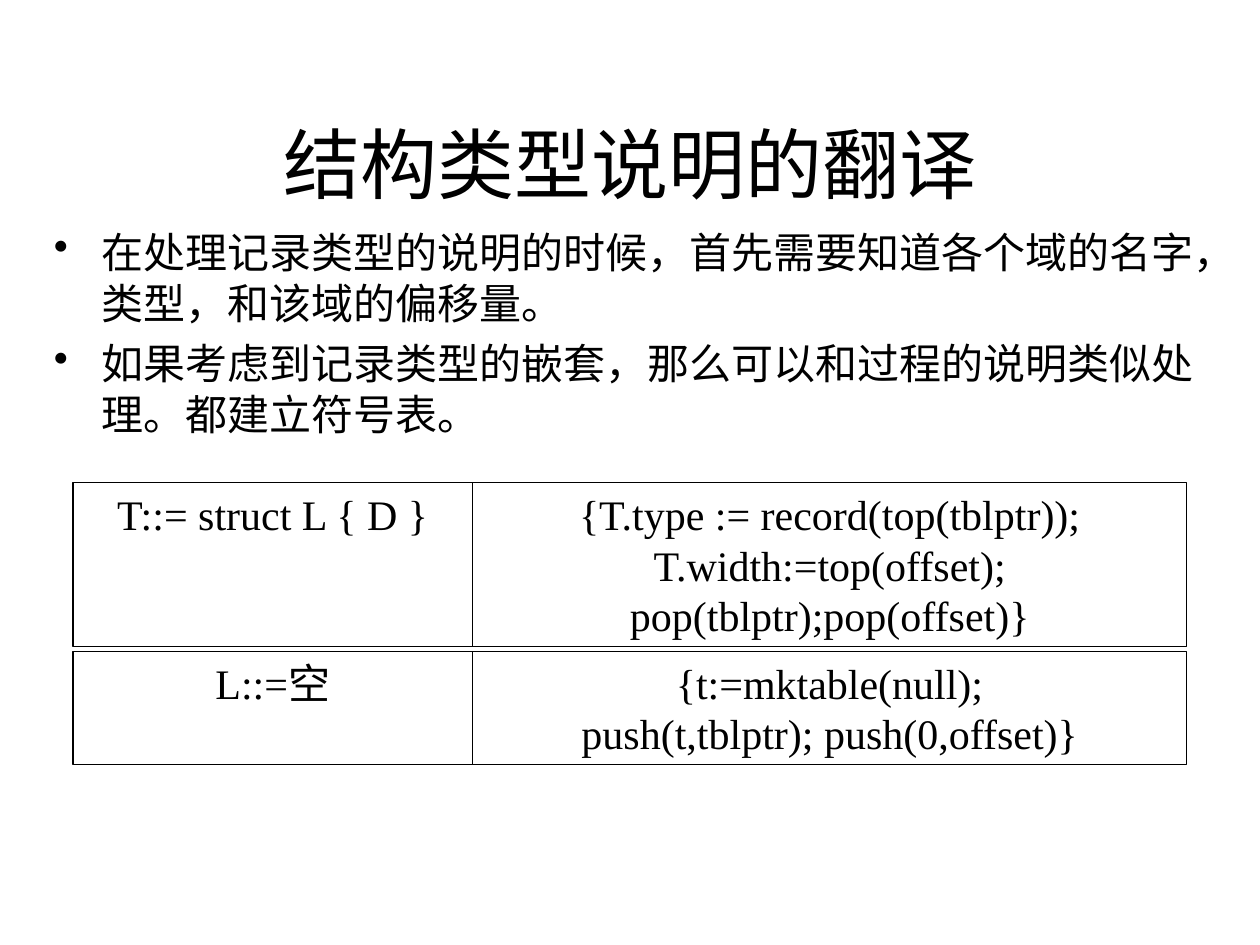
from dataclasses import dataclass

from lxml.etree import SubElement
from pptx import Presentation
from pptx.dml.color import RGBColor
from pptx.enum.shapes import MSO_SHAPE
from pptx.enum.text import MSO_ANCHOR, MSO_AUTO_SIZE, PP_ALIGN
from pptx.oxml.ns import qn
from pptx.util import Inches, Pt


@dataclass(frozen=True)
class Theme:
    font: str = "Times New Roman"
    ink: RGBColor = RGBColor(0, 0, 0)
    title_size: int = 44
    body_size: int = 24
    line_width: float = 0.75


THEME = Theme()

TITLE = "结构类型说明的翻译"
POINTS = [
    "在处理记录类型的说明的时候，首先需要知道各个域的名字，类型，和该域的偏移量。",
    "如果考虑到记录类型的嵌套，那么可以和过程的说明类似处理。都建立符号表。",
]
COLUMN_WIDTHS = [3.17, 5.67]
RULES_LEFT, RULES_TOP, ROW_GAP = 0.58, 3.83, 0.04
RULES = [
    (1.3, ["T::= struct L { D }"],
     ["{T.type := record(top(tblptr));", "T.width:=top(offset);", "pop(tblptr);pop(offset)}"]),
    (0.9, ["L::=空"],
     ["{t:=mktable(null);", "push(t,tblptr); push(0,offset)}"]),
]


def set_bullet(p):
    pPr = p._p.get_or_add_pPr()
    pPr.set("marL", str(Inches(0.38)))
    pPr.set("indent", str(-Inches(0.38)))
    SubElement(pPr, qn("a:buChar"), char="•")


def fill_text(tf, lines, size, align, anchor=MSO_ANCHOR.TOP, bullets=False):
    tf.word_wrap = True
    tf.auto_size = MSO_AUTO_SIZE.NONE
    tf.vertical_anchor = anchor
    tf.margin_left = tf.margin_right = Inches(0.1)
    tf.margin_top = tf.margin_bottom = Inches(0.05)
    for i, line in enumerate(lines):
        p = tf.add_paragraph() if i else tf.paragraphs[0]
        if bullets:
            set_bullet(p)
        p.alignment = align
        p.space_before = Pt(6 if bullets and i else 0)
        r = p.add_run()
        r.text = line
        r.font.name = THEME.font
        r.font.size = Pt(size)
        r.font.color.rgb = THEME.ink


def add_title(s):
    sp = s.shapes.title
    sp.left, sp.top = Inches(0.75), Inches(0.67)
    sp.width, sp.height = Inches(8.5), Inches(1.25)
    fill_text(sp.text_frame, [TITLE], THEME.title_size, PP_ALIGN.CENTER, MSO_ANCHOR.MIDDLE)


def add_points(s):
    sp = s.shapes.add_textbox(Inches(0.33), Inches(1.75), Inches(9.42), Inches(1.83))
    fill_text(sp.text_frame, POINTS, THEME.body_size, PP_ALIGN.LEFT, bullets=True)


def add_cell(s, left, top, width, height, lines):
    sp = s.shapes.add_shape(MSO_SHAPE.RECTANGLE, Inches(left), Inches(top),
                            Inches(width), Inches(height))
    sp.shadow.inherit = False
    sp.fill.background()
    sp.line.color.rgb = THEME.ink
    sp.line.width = Pt(THEME.line_width)
    fill_text(sp.text_frame, lines, THEME.body_size, PP_ALIGN.CENTER)


def add_rules(s):
    top = RULES_TOP
    for height, *cells in RULES:
        left = RULES_LEFT
        for width, lines in zip(COLUMN_WIDTHS, cells):
            add_cell(s, left, top, width, height, lines)
            left += width
        top += height + ROW_GAP


def main():
    prs = Presentation()
    prs.slide_width, prs.slide_height = Inches(10), Inches(7.5)
    s = prs.slides.add_slide(prs.slide_layouts[5])
    add_title(s)
    add_points(s)
    add_rules(s)
    prs.save("out.pptx")


if __name__ == "__main__":
    main()
